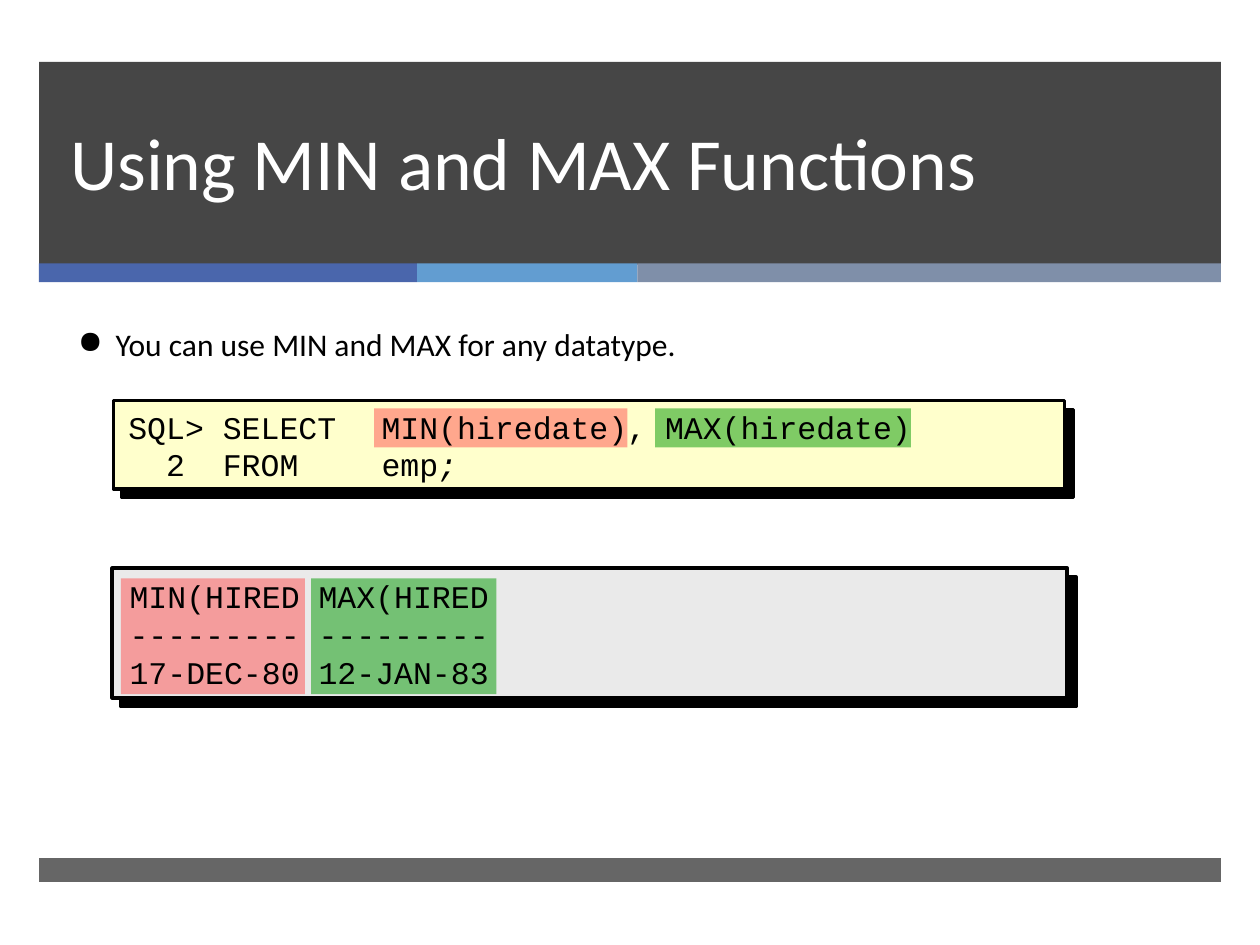
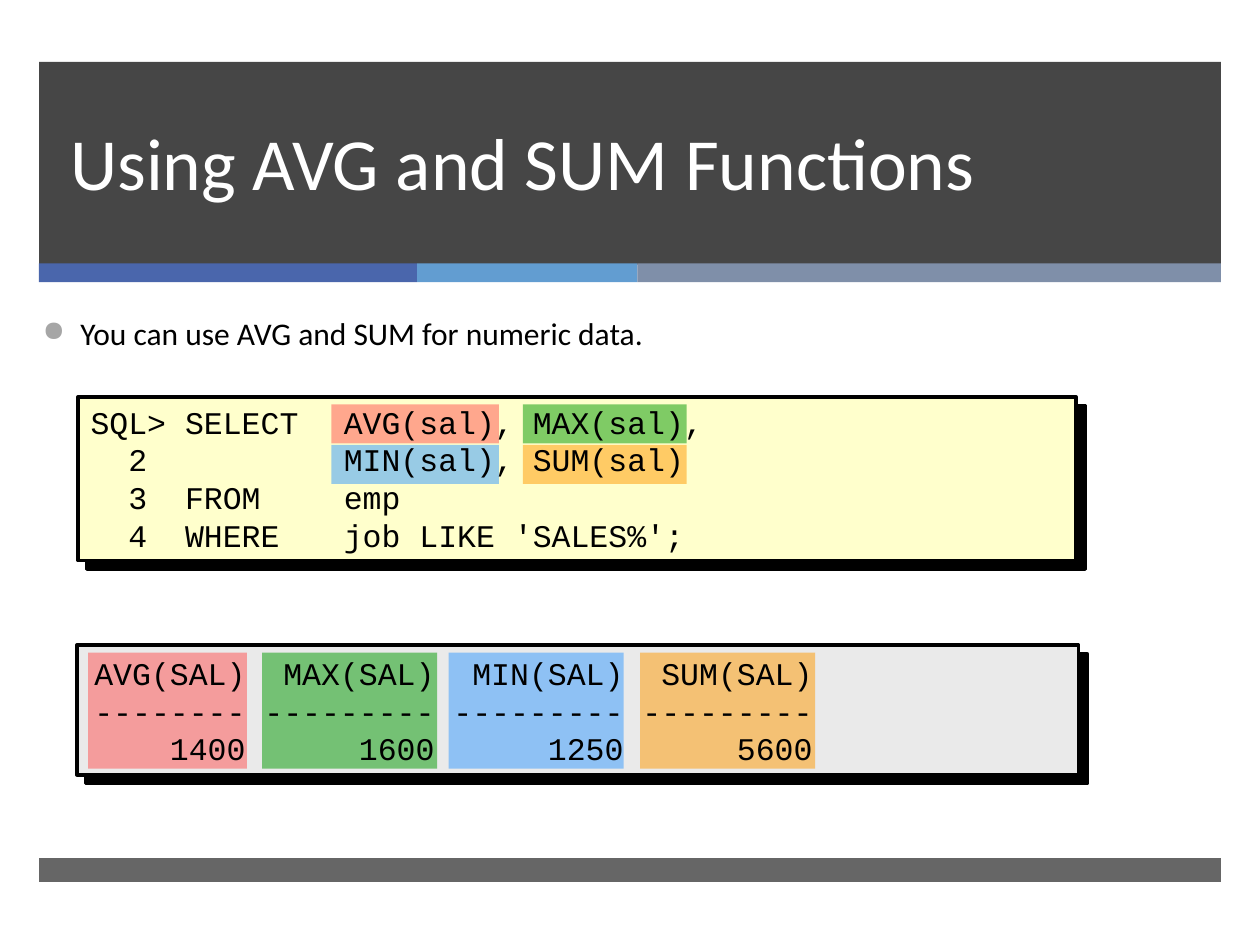
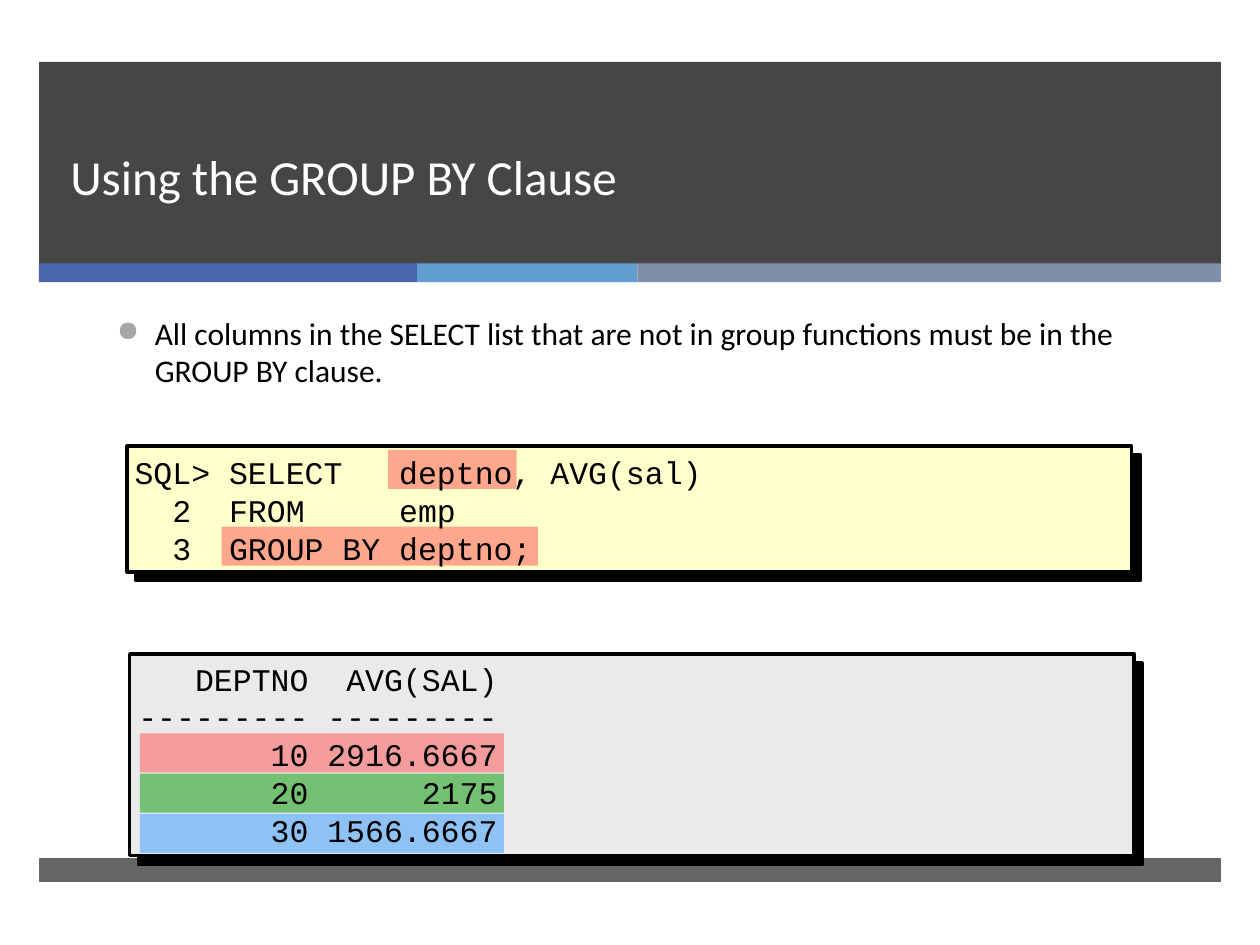
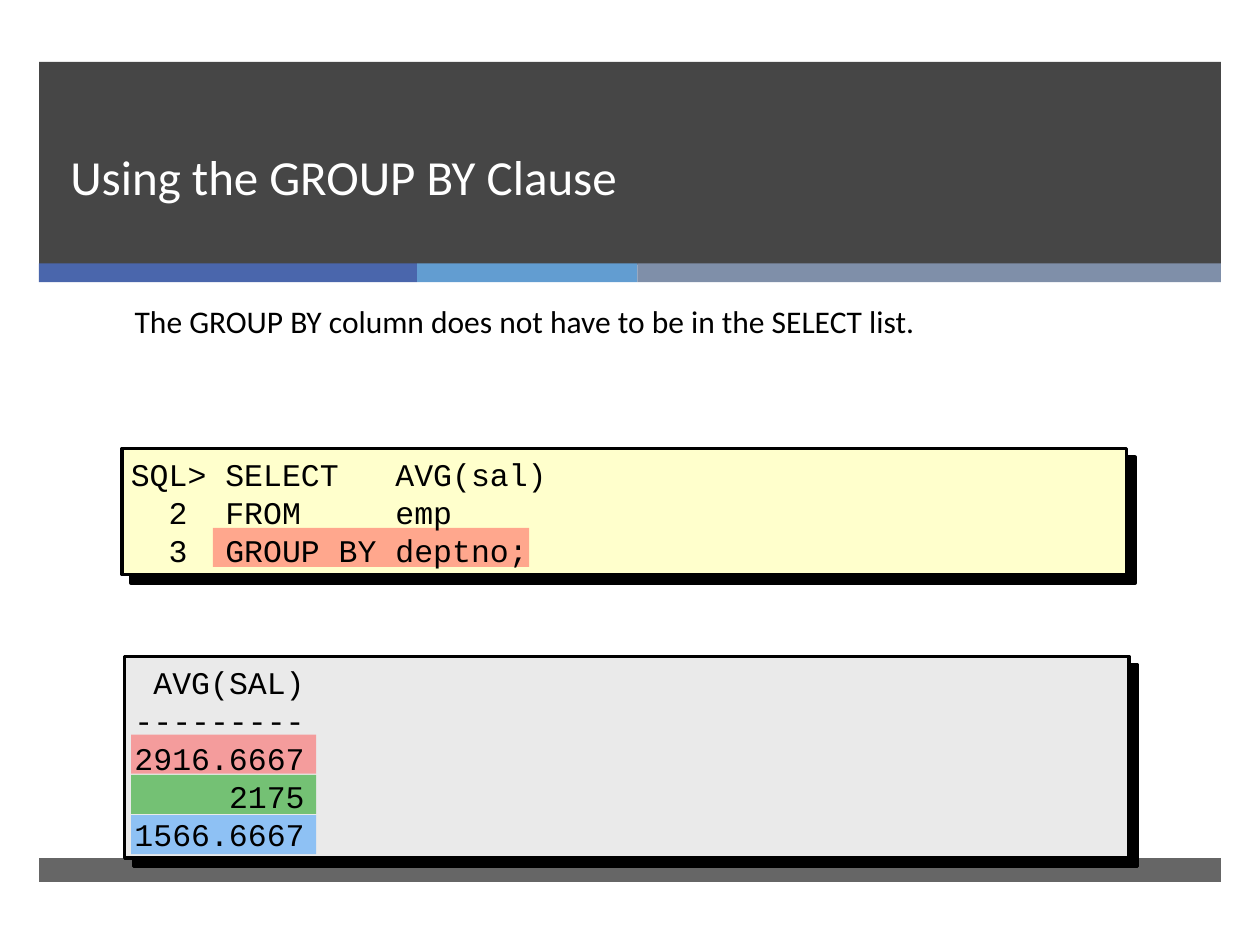
"""Build four SQL lesson slides on group functions and the GROUP BY clause."""
from dataclasses import dataclass
from typing import NamedTuple

from lxml import etree
from pptx import Presentation
from pptx import util as u
from pptx.dml.color import RGBColor
from pptx.enum import shapes, text
from pptx.oxml import ns


@dataclass(frozen=True)
class Theme:
    dark: str = "262626"
    white: str = "FFFFFF"
    black: str = "000000"
    gray: str = "A6A6A6"
    stripes: tuple = ("4A66AC", "629DD1", "7F8FA9")
    code: str = "FFFFCC"
    result: str = "EAEAEA"
    red: str = "FF5050"
    green: str = "009900"
    blue: str = "3399FF"
    orange: str = "FF9900"
    sans: str = "Calibri"
    mono: str = "Courier New"
    title_size: int = 42
    small_title_size: int = 28
    body_size: int = 18


THEME = Theme()


class Frame(NamedTuple):
    left: float
    top: float
    width: float
    height: float


class Mark(NamedTuple):
    frame: Frame
    color: str


class Stop(NamedTuple):
    position: float
    align: str


@dataclass(frozen=True)
class Note:
    frame: Frame
    text: str
    bullet: str | None = THEME.gray
    bullet_percent: int = 90


@dataclass(frozen=True)
class Panel:
    frame: Frame
    text_frame: Frame
    color: str
    lines: tuple[str, ...]
    stops: tuple[Stop, ...]
    anchor: text.MSO_ANCHOR = text.MSO_ANCHOR.MIDDLE
    italic_end: str = ""


@dataclass(frozen=True)
class Lesson:
    title: str
    note: Note
    panels: tuple[Panel, ...]
    marks: tuple[Mark, ...]
    title_size: int = THEME.title_size


LINE_HEIGHT = 0.31
ROW_STEP = 0.32
TABLE_HEIGHT = 0.92
CHARACTER = 0.15
CODE_STOPS = (Stop(0.45, "r"), Stop(0.75, "l"), Stop(2.01, "l"))
GROUP_STOPS = (Stop(0.45, "r"), Stop(0.75, "l"), Stop(2.1, "l"))
ROW_COLORS = (THEME.red, THEME.green, THEME.blue)


def right_stops(*columns: int) -> tuple[Stop, ...]:
    """Give right tab stops that end at the character columns."""
    return tuple(Stop(column * CHARACTER + 0.01, "r") for column in columns)


def line_mark(left: float, top: float, width: float, color: str) -> Mark:
    """Mark part of one line of text."""
    return Mark(Frame(left, top, width, LINE_HEIGHT), color)


def column_mark(left: float, top: float, width: float, color: str) -> Mark:
    """Mark a whole result column."""
    return Mark(Frame(left, top, width, TABLE_HEIGHT), color)


def row_marks(left: float, top: float, width: float) -> tuple[Mark, ...]:
    """Mark successive result rows, each in its own colour."""
    return tuple(line_mark(left, top + row * ROW_STEP, width, color)
                 for row, color in enumerate(ROW_COLORS))


def add_child(parent, tag: str, **attributes):
    """Append a DrawingML element with attributes."""
    child = etree.SubElement(parent, ns.qn(tag))
    for name, value in attributes.items():
        child.set(name, str(value))
    return child


def inches(frame: Frame) -> list[u.Length]:
    """Turn a frame into lengths."""
    return [u.Inches(side) for side in frame]


def add_box(page, frame: Frame, color: str, *, opacity: int = 100, framed: bool = False):
    """Draw a filled rectangle, optionally outlined with a hard shadow."""
    box = page.shapes.add_shape(shapes.MSO_SHAPE.RECTANGLE, *inches(frame))
    box.shadow.inherit = False
    box.fill.solid()
    box.fill.fore_color.rgb = RGBColor.from_string(color)
    properties = box._element.spPr
    if opacity < 100:
        paint = properties.find(f"{ns.qn('a:solidFill')}/{ns.qn('a:srgbClr')}")
        add_child(paint, "a:alpha", val=opacity * 1000)
    if framed:
        box.line.color.rgb = RGBColor.from_string(THEME.black)
        box.line.width = u.Pt(2)
        shadow = add_child(properties.find(ns.qn("a:effectLst")), "a:outerShdw", blurRad=0,
                           dist=u.Pt(7.1), dir=45 * 60000, algn="ctr", rotWithShape=0)
        add_child(shadow, "a:srgbClr", val=THEME.black)
    else:
        box.line.fill.background()
    return box


def add_span(para, content: str, *, size: int, font: str, color: str, italic: bool = False):
    """Append formatted text to a paragraph."""
    span = para.add_run()
    span.text = content
    span.font.size = u.Pt(size)
    span.font.name = font
    span.font.color.rgb = RGBColor.from_string(color)
    if italic:
        span.font.italic = True


def add_text(page, frame: Frame, lines: tuple[str, ...], *, size: int = THEME.body_size,
             font: str = THEME.sans, color: str = THEME.black,
             anchor: text.MSO_ANCHOR = text.MSO_ANCHOR.TOP, spacing: float | None = None,
             bullet: str | None = None, bullet_percent: int = 100,
             stops: tuple[Stop, ...] = (), italic_end: str = ""):
    """Write lines of text in a box, one paragraph each."""
    box = page.shapes.add_textbox(*inches(frame))
    body = box.text_frame
    body.word_wrap = True
    body.vertical_anchor = anchor
    for index, line in enumerate(lines):
        para = body.add_paragraph() if index else body.paragraphs[0]
        add_span(para, line, size=size, font=font, color=color)
        if spacing:
            para.line_spacing = u.Pt(spacing)
        properties = para._p.get_or_add_pPr()
        if bullet:
            properties.set("marL", str(u.Inches(0.3)))
            properties.set("indent", str(u.Inches(-0.3)))
            add_child(add_child(properties, "a:buClr"), "a:srgbClr", val=bullet)
            add_child(properties, "a:buSzPct", val=bullet_percent * 1000)
            add_child(properties, "a:buChar", char="●")
        if stops:
            tabs = add_child(properties, "a:tabLst")
            for stop in stops:
                add_child(tabs, "a:tab", pos=u.Inches(stop.position), algn=stop.align)
    if italic_end:
        add_span(para, italic_end, size=size, font=font, color=color, italic=True)
    return box


def add_bands(page) -> None:
    """Draw the title band, the stripes below it and the footer band."""
    left, width = 0.31, 9.38
    add_box(page, Frame(left, 0.49, width, 1.61), THEME.dark, opacity=85)
    stripe_left = left
    for stripe_width, color in zip((3, 1.75, 4.63), THEME.stripes):
        add_box(page, Frame(stripe_left, 2.09, stripe_width, 0.15), color)
        stripe_left += stripe_width
    add_box(page, Frame(left, 6.81, width, 0.19), THEME.dark, opacity=70)


def add_lesson(deck, lesson: Lesson) -> None:
    """Add one slide with its title, note, panels and marks."""
    page = deck.slides.add_slide(deck.slide_layouts[6])
    add_bands(page)
    add_text(page, Frame(0.46, 0.49, 8.54, 1.19), (lesson.title,), size=lesson.title_size,
             color=THEME.white, anchor=text.MSO_ANCHOR.BOTTOM, spacing=46)
    note = lesson.note
    add_text(page, note.frame, (note.text,), bullet=note.bullet,
             bullet_percent=note.bullet_percent)
    for panel in lesson.panels:
        add_box(page, panel.frame, panel.color, framed=True)
    for mark in lesson.marks:
        add_box(page, mark.frame, mark.color, opacity=50)
    for panel in lesson.panels:
        add_text(page, panel.text_frame, panel.lines, font=THEME.mono, anchor=panel.anchor,
                 stops=panel.stops, italic_end=panel.italic_end)


LESSONS = (
    Lesson(
        "Using MIN and MAX Functions",
        Note(Frame(0.52, 2.53, 5, 0.4), "You can use MIN and MAX for any datatype.",
             THEME.black, 100),
        (
            Panel(Frame(0.9, 3.18, 7.55, 0.7), Frame(0.92, 3.17, 7.58, 0.73), THEME.code,
                  ("SQL> SELECT\tMIN(hiredate), MAX(hiredate)", "\t2\tFROM\temp"),
                  CODE_STOPS, italic_end=";"),
            Panel(Frame(0.89, 4.51, 7.58, 1.03), Frame(0.93, 4.53, 7.55, 1), THEME.result,
                  ("MIN(HIRED MAX(HIRED", "--------- ---------", "17-DEC-80 12-JAN-83"),
                  (), text.MSO_ANCHOR.TOP),
        ),
        (
            line_mark(2.97, 3.24, 2.01, THEME.red),
            line_mark(5.2, 3.24, 2.03, THEME.green),
            column_mark(0.96, 4.59, 1.46, THEME.red),
            column_mark(2.47, 4.59, 1.47, THEME.green),
        ),
    ),
    Lesson(
        "Using AVG and SUM Functions",
        Note(Frame(0.24, 2.44, 10, 0.55), "You can use AVG and SUM for numeric data."),
        (
            Panel(Frame(0.62, 3.15, 7.92, 1.3), Frame(0.62, 3.13, 7.95, 1.33), THEME.code,
                  ("SQL> SELECT\tAVG(sal), MAX(sal),", "\t2\t\tMIN(sal), SUM(sal)",
                   "\t3\tFROM\temp", "\t4\tWHERE\tjob LIKE 'SALES%';"), CODE_STOPS),
            Panel(Frame(0.61, 5.12, 7.95, 1.03), Frame(0.64, 5.14, 7.92, 1), THEME.result,
                  ("\tAVG(SAL)\tMAX(SAL)\tMIN(SAL)\tSUM(SAL)",
                   "\t--------\t---------\t---------\t---------",
                   "\t1400\t1600\t1250\t5600"),
                  right_stops(8, 18, 28, 38), text.MSO_ANCHOR.TOP),
        ),
        (
            line_mark(2.63, 3.21, 1.33, THEME.red),
            line_mark(4.15, 3.21, 1.3, THEME.green),
            line_mark(2.63, 3.53, 1.33, THEME.blue),
            line_mark(4.15, 3.53, 1.3, THEME.orange),
            column_mark(0.7, 5.18, 1.26, THEME.red),
            column_mark(2.08, 5.18, 1.39, THEME.green),
            column_mark(3.56, 5.18, 1.39, THEME.blue),
            column_mark(5.08, 5.18, 1.39, THEME.orange),
        ),
    ),
    Lesson(
        "Using the GROUP BY Clause",
        Note(Frame(0.83, 2.44, 8.29, 1.43),
             "All columns in the SELECT list that are not in group functions "
             "must be in the GROUP BY clause."),
        (
            Panel(Frame(1.01, 3.54, 7.97, 1), Frame(0.97, 3.53, 8, 1.03), THEME.code,
                  ("SQL> SELECT\tdeptno, AVG(sal)", "\t2\tFROM\temp",
                   "\t3\tGROUP BY deptno;"), GROUP_STOPS),
            Panel(Frame(1.03, 5.19, 7.97, 1.6), Frame(0.99, 5.17, 8, 1.63), THEME.result,
                  ("\tDEPTNO\tAVG(SAL)", "\t---------\t---------", "\t10\t2916.6667",
                   "\t20\t2175", "\t30\t1566.6667"), right_stops(9, 19)),
        ),
        (
            line_mark(3.08, 3.57, 1.02, THEME.red),
            line_mark(1.76, 4.18, 2.51, THEME.red),
            *row_marks(1.11, 5.82, 2.89),
        ),
        THEME.small_title_size,
    ),
    Lesson(
        "Using the GROUP BY Clause",
        Note(Frame(0.97, 2.35, 8.29, 0.99),
             "The GROUP BY column does not have to be in the SELECT list.", None),
        (
            Panel(Frame(0.97, 3.56, 7.97, 1), Frame(0.94, 3.55, 8, 1.03), THEME.code,
                  ("SQL> SELECT\tAVG(sal)", "\t2\tFROM\temp", "\t3\tGROUP BY deptno;"),
                  GROUP_STOPS),
            Panel(Frame(0.99, 5.21, 7.97, 1.6), Frame(0.96, 5.2, 8, 1.63), THEME.result,
                  ("\tAVG(SAL)", "\t---------", "\t2916.6667", "\t2175", "\t1566.6667"),
                  right_stops(9)),
        ),
        (
            line_mark(1.69, 4.19, 2.51, THEME.red),
            *row_marks(1.04, 5.83, 1.47),
        ),
        THEME.small_title_size,
    ),
)


def main() -> None:
    """Build and save the deck."""
    deck = Presentation()
    deck.slide_width = u.Inches(10)
    deck.slide_height = u.Inches(7.5)
    for lesson in LESSONS:
        add_lesson(deck, lesson)
    deck.save("out.pptx")


if __name__ == "__main__":
    main()
